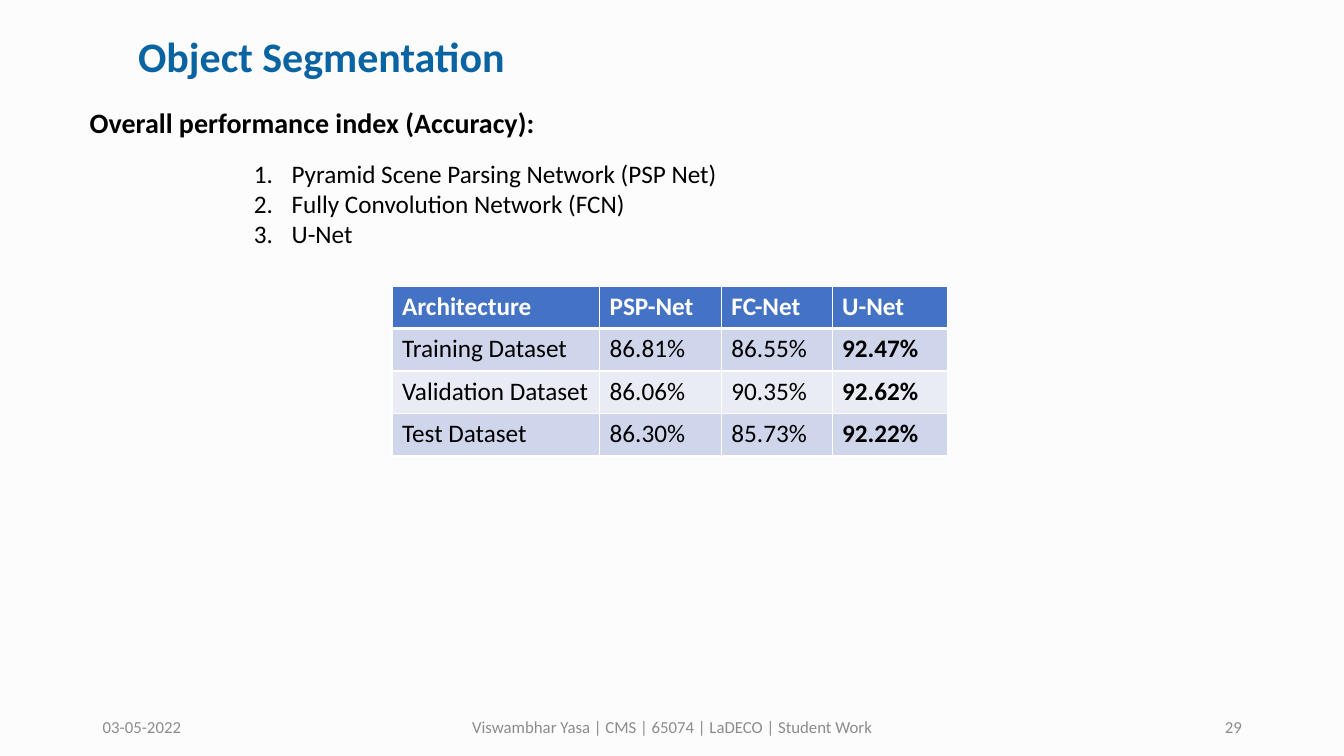
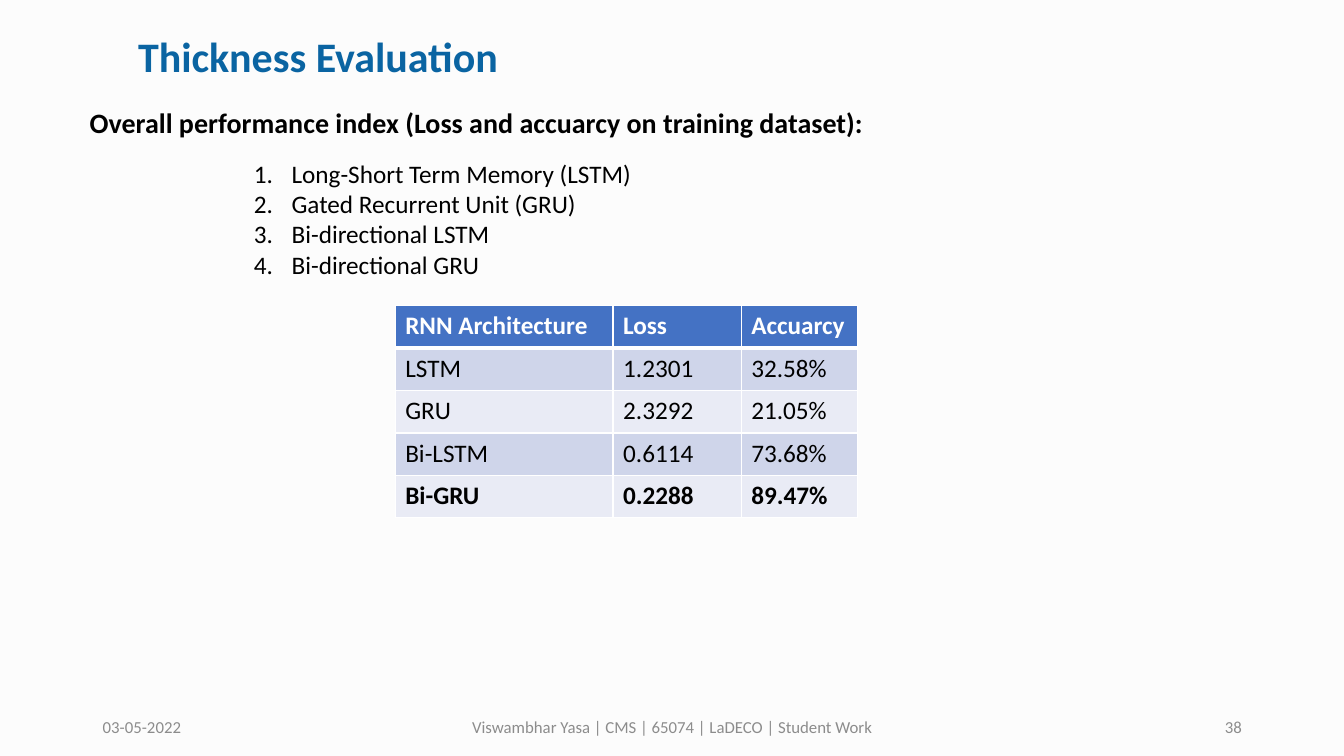
from lxml import etree
from pptx import Presentation
from pptx.dml.color import RGBColor
from pptx.enum import text
from pptx.oxml import ns
from pptx.util import Cm, Pt

FONT = "Calibri"
BACKGROUND = RGBColor(0xFC, 0xFC, 0xFC)
TITLE_BLUE = RGBColor(0x0A, 0x64, 0xA2)
HEADER_BLUE = RGBColor(0x44, 0x72, 0xC4)
BANDS = (RGBColor(0xCF, 0xD5, 0xEA), RGBColor(0xE9, 0xEB, 0xF5))
FOOTER_GREY = RGBColor(0x8C, 0x8C, 0x8C)
BLACK = RGBColor(0, 0, 0)
WHITE = RGBColor(0xFF, 0xFF, 0xFF)

DATE = "03-05-2022"
AUTHOR = "Viswambhar Yasa | CMS | 65074 | LaDECO | Student Work"
ROW_HEIGHT = 1.07
LIST_INDENT = Cm(0.95)

SLIDES = [
    {
        "number": "29",
        "title": "Object Segmentation",
        "heading": "Overall performance index (Accuracy):",
        "methods": [
            "Pyramid Scene Parsing Network (PSP Net)",
            "Fully Convolution Network (FCN)",
            "U-Net",
        ],
        "table_at": (9.88, 7.21),
        "columns": (5.23, 3.07, 2.79, 2.9),
        "rows": [
            ("Architecture", "PSP-Net", "FC-Net", "U-Net"),
            ("Training Dataset", "86.81%", "86.55%", "92.47%"),
            ("Validation Dataset", "86.06%", "90.35%", "92.62%"),
            ("Test Dataset", "86.30%", "85.73%", "92.22%"),
        ],
        "best": {(1, 3), (2, 3), (3, 3)},
    },
    {
        "number": "38",
        "title": "Thickness Evaluation",
        "heading": "Overall performance index (Loss and accuarcy on training dataset):",
        "methods": [
            "Long-Short Term Memory (LSTM)",
            "Gated Recurrent Unit (GRU)",
            "Bi-directional LSTM",
            "Bi-directional GRU",
        ],
        "table_at": (9.96, 7.7),
        "columns": (5.49, 3.23, 2.92),
        "rows": [
            ("RNN Architecture", "Loss", "Accuarcy"),
            ("LSTM", "1.2301", "32.58%"),
            ("GRU", "2.3292", "21.05%"),
            ("Bi-LSTM", "0.6114", "73.68%"),
            ("Bi-GRU", "0.2288", "89.47%"),
        ],
        "best": {(4, 0), (4, 1), (4, 2)},
    },
]


def style(paragraph, size, color, bold=False):
    for run in paragraph.runs:
        run.font.name = FONT
        run.font.size = Pt(size)
        run.font.bold = bold
        run.font.color.rgb = color


def add_text(slide, box, lines, size, color, bold=False,
             align=text.PP_ALIGN.LEFT, anchor=text.MSO_ANCHOR.TOP):
    frame = slide.shapes.add_textbox(*map(Cm, box)).text_frame
    frame.word_wrap = True
    frame.vertical_anchor = anchor
    frame.text = "\n".join(lines)
    for paragraph in frame.paragraphs:
        paragraph.alignment = align
        style(paragraph, size, color, bold)
    return frame


def add_numbered_list(slide, methods):
    box = (6.15, 3.86, 15.9, 0.77 * len(methods) + 0.25)
    frame = add_text(slide, box, methods, 18, BLACK)
    for paragraph in frame.paragraphs:
        properties = paragraph._p.get_or_add_pPr()
        properties.set("marL", str(LIST_INDENT))
        properties.set("indent", str(-LIST_INDENT))
        etree.SubElement(properties, ns.qn("a:buFont"), typeface="+mj-lt")
        etree.SubElement(properties, ns.qn("a:buAutoNum"), type="arabicPeriod")


def add_border(cell, side, width):
    line = etree.SubElement(cell._tc.get_or_add_tcPr(), ns.qn("a:ln" + side), w=str(Pt(width)))
    fill = etree.SubElement(line, ns.qn("a:solidFill"))
    etree.SubElement(fill, ns.qn("a:srgbClr"), val=str(WHITE))


def add_results_table(slide, position, columns, rows, best):
    left, top = position
    size = (sum(columns), ROW_HEIGHT * len(rows))
    table = slide.shapes.add_table(
        len(rows), len(columns), *map(Cm, (left, top, *size))).table
    for column, width in zip(table.columns, columns):
        column.width = Cm(width)
    for r, row in enumerate(rows):
        is_header = r == 0
        table.rows[r].height = Cm(ROW_HEIGHT)
        for c, value in enumerate(row):
            cell = table.cell(r, c)
            for side in "LRTB":
                thick = (is_header and side == "B") or (r == 1 and side == "T")
                add_border(cell, side, 3 if thick else 1)
            cell.fill.solid()
            cell.fill.fore_color.rgb = HEADER_BLUE if is_header else BANDS[(r - 1) % 2]
            cell.text_frame.text = value
            style(cell.text_frame.paragraphs[0], 18,
                  WHITE if is_header else BLACK, is_header or (r, c) in best)


def add_footer(slide, number):
    parts = [
        (2.34, 7.62, DATE, text.PP_ALIGN.LEFT),
        (11.23, 11.43, AUTHOR, text.PP_ALIGN.CENTER),
        (23.93, 7.62, number, text.PP_ALIGN.RIGHT),
    ]
    for left, width, label, align in parts:
        add_text(slide, (left, 17.81, width, 1.02), [label], 12, FOOTER_GREY,
                 align=align, anchor=text.MSO_ANCHOR.MIDDLE)


def build_slide(presentation, content):
    slide = presentation.slides.add_slide(presentation.slide_layouts[6])
    slide.background.fill.solid()
    slide.background.fill.fore_color.rgb = BACKGROUND
    add_footer(slide, content["number"])
    add_text(slide, (3.23, 0.64, 17.88, 1.55), [content["title"]], 30, TITLE_BLUE, True)
    add_text(slide, (2.01, 2.54, 20.27, 1.12), [content["heading"]], 20, BLACK, True)
    add_results_table(slide, content["table_at"], content["columns"],
                      content["rows"], content["best"])
    add_numbered_list(slide, content["methods"])


def main():
    presentation = Presentation()
    presentation.slide_width = Cm(33.87)
    presentation.slide_height = Cm(19.05)
    for content in SLIDES:
        build_slide(presentation, content)
    presentation.save("out.pptx")


if __name__ == "__main__":
    main()
